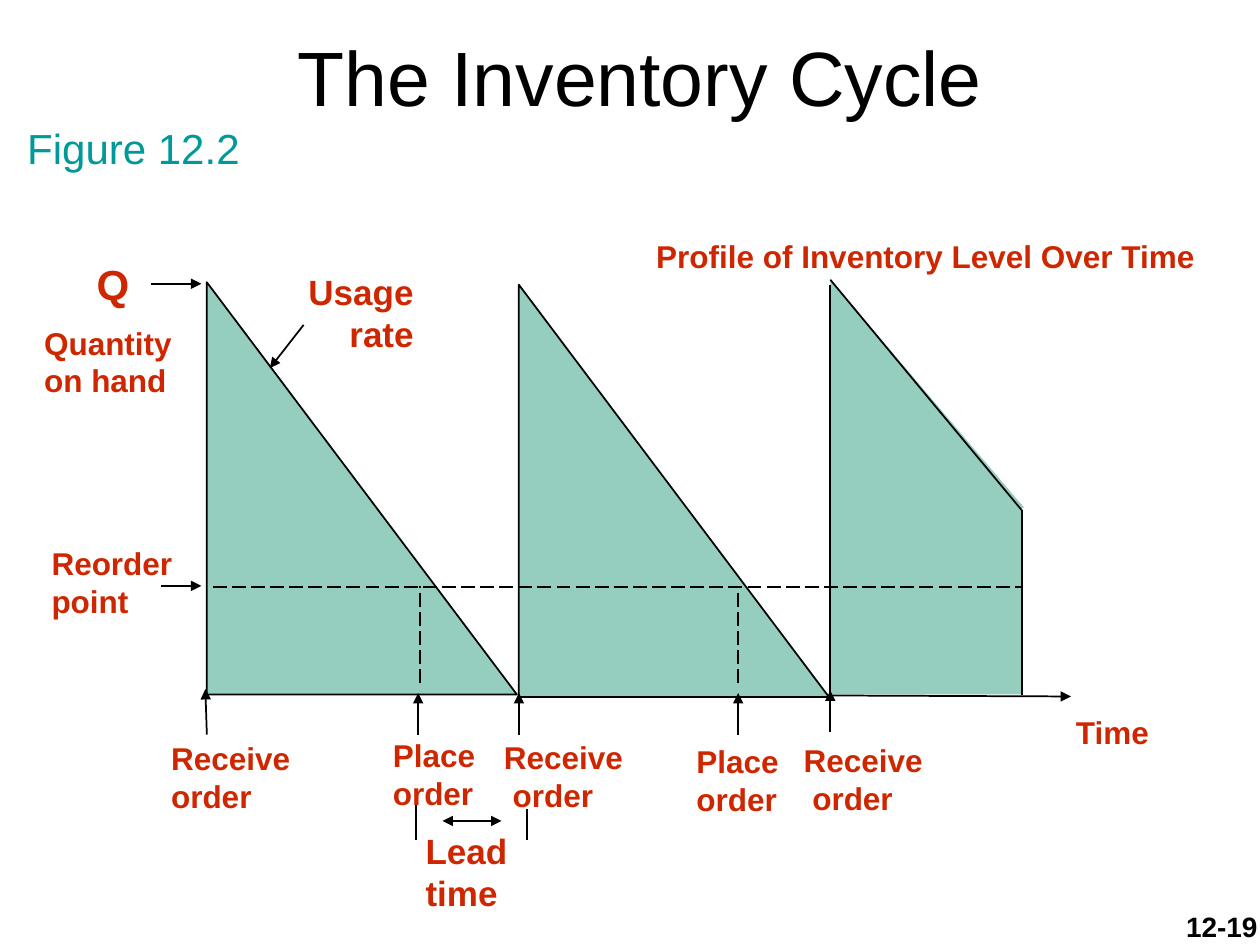
from lxml.etree import SubElement
from pptx import Presentation
from pptx.dml.color import RGBColor
from pptx.enum.dml import MSO_LINE
from pptx.enum.shapes import MSO_CONNECTOR, MSO_SHAPE
from pptx.enum.text import MSO_ANCHOR, PP_ALIGN
from pptx.oxml.ns import qn
from pptx.util import Cm, Pt

RED, TEAL, MINT, BLACK = "CE2700", "009999", "95CDBE", "000000"


def paint(item, tint):
    item.rgb = RGBColor.from_string(tint)


def write(frame, lines, size, tint, bold, align):
    frame.word_wrap = True
    for i, line in enumerate(lines):
        para = frame.add_paragraph() if i else frame.paragraphs[0]
        para.alignment = align
        run = para.add_run()
        run.text = line
        run.font.name = "Arial"
        run.font.size = Pt(size)
        run.font.bold = bold
        paint(run.font.color, tint)


deck = Presentation()
deck.slide_width, deck.slide_height = Cm(25.4), Cm(19.05)
slide = deck.slides.add_slide(deck.slide_layouts[5])
shapes = slide.shapes

# Title
title = shapes.title
title.left, title.top = Cm(2.11), Cm(0.53)
title.width, title.height = Cm(21.59), Cm(2.06)
title.text_frame.vertical_anchor = MSO_ANCHOR.BOTTOM
write(title.text_frame, ["The Inventory Cycle"], 44, BLACK, False, PP_ALIGN.CENTER)

# Stock areas: two full cycles, then one cut short
areas = [
    (MSO_SHAPE.RECTANGLE, 16.74, 10.16, 3.86, 3.84, False),
    (MSO_SHAPE.RIGHT_TRIANGLE, 16.74, 5.64, 3.91, 4.6, False),
    (MSO_SHAPE.RIGHT_TRIANGLE, 4.17, 5.69, 6.25, 8.31, True),
    (MSO_SHAPE.RIGHT_TRIANGLE, 10.46, 5.74, 6.25, 8.31, True),
]
for kind, x, y, wide, high, edged in areas:
    area = shapes.add_shape(kind, Cm(x), Cm(y), Cm(wide), Cm(high))
    area.shadow.inherit = False
    area.fill.solid()
    paint(area.fill.fore_color, MINT)
    if edged:
        paint(area.line.color, BLACK)
        area.line.width = Pt(1)
    else:
        area.line.fill.background()

# Lines by style: plain, dashed, arrow at the end, arrows at both ends
plain = [
    (16.74, 5.64, 20.6, 10.29),
    (16.74, 5.74, 16.74, 14),
    (20.6, 10.29, 20.6, 14.02),
    (10.62, 16.31, 10.62, 16.94),
    (8.38, 16.21, 8.38, 16.94),
]
dashed = [
    (4.29, 11.84, 20.6, 11.84),
    (8.46, 13.77, 8.46, 11.81),
    (14.87, 13.77, 14.87, 11.81),
]
arrows = [
    (3.05, 5.72, 4.06, 5.72),
    (3.25, 11.81, 4.06, 11.81),
    (6.12, 6.55, 5.44, 7.42),
    (4.17, 14.81, 4.14, 13.89),
    (8.43, 14.81, 8.43, 13.97),
    (10.46, 14.81, 10.46, 13.97),
    (14.88, 14.81, 14.88, 13.97),
    (16.74, 14.76, 16.74, 13.92),
    (16.74, 14.02, 21.59, 14.04),
]
double = [(8.92, 16.55, 10.11, 16.55)]
styles = [
    (plain, None, []),
    (dashed, MSO_LINE.LONG_DASH, []),
    (arrows, None, ["a:tailEnd"]),
    (double, None, ["a:headEnd", "a:tailEnd"]),
]
for group, dash, ends in styles:
    for points in group:
        line = shapes.add_connector(MSO_CONNECTOR.STRAIGHT, *map(Cm, points))
        paint(line.line.color, BLACK)
        line.line.width = Pt(1)
        if dash:
            line.line.dash_style = dash
        props = line.element.spPr
        for end in ends:
            SubElement(props.find(qn("a:ln")), qn(end), type="triangle")
        SubElement(props, qn("a:effectLst"))

# Labels
left, right = PP_ALIGN.LEFT, PP_ALIGN.RIGHT
labels = [
    (["Figure 12.2"], 0.3, 2.34, 5.51, 1.27, 24, TEAL, left),
    (["Profile of Inventory Level Over Time"], 12.98, 4.65, 11.38, 1.02, 18, RED, left),
    (["Q"], 1.7, 5.08, 1.17, 1.27, 24, RED, left),
    (["Quantity", "on hand"], 0.64, 6.4, 3.35, 1.78, 18, RED, left),
    (["Usage", "rate"], 5.34, 5.33, 3, 1.93, 20, RED, right),
    (["Reorder", "point"], 0.79, 10.85, 3.51, 1.78, 18, RED, left),
    (["Receive", "order"], 3.2, 14.78, 3.07, 1.78, 18, RED, left),
    (["Place", "order"], 7.67, 14.71, 2.16, 1.78, 18, RED, left),
    (["Receive", " order"], 9.91, 14.76, 2.9, 1.78, 18, RED, left),
    (["Place", "order"], 13.79, 14.83, 2.16, 1.78, 18, RED, left),
    (["Receive", " order"], 15.95, 14.81, 2.9, 1.78, 18, RED, left),
    (["Lead time"], 8.33, 16.59, 2.54, 1.93, 20, RED, left),
    (["Time"], 21.44, 14.25, 1.98, 1.02, 18, RED, left),
    (["12-19"], 19.69, 18.21, 5.66, 0.84, 16, BLACK, right),
]
for lines, x, y, wide, high, size, tint, align in labels:
    box = shapes.add_textbox(Cm(x), Cm(y), Cm(wide), Cm(high))
    box.text_frame.margin_right = 0
    write(box.text_frame, lines, size, tint, tint != TEAL, align)

deck.save("out.pptx")
